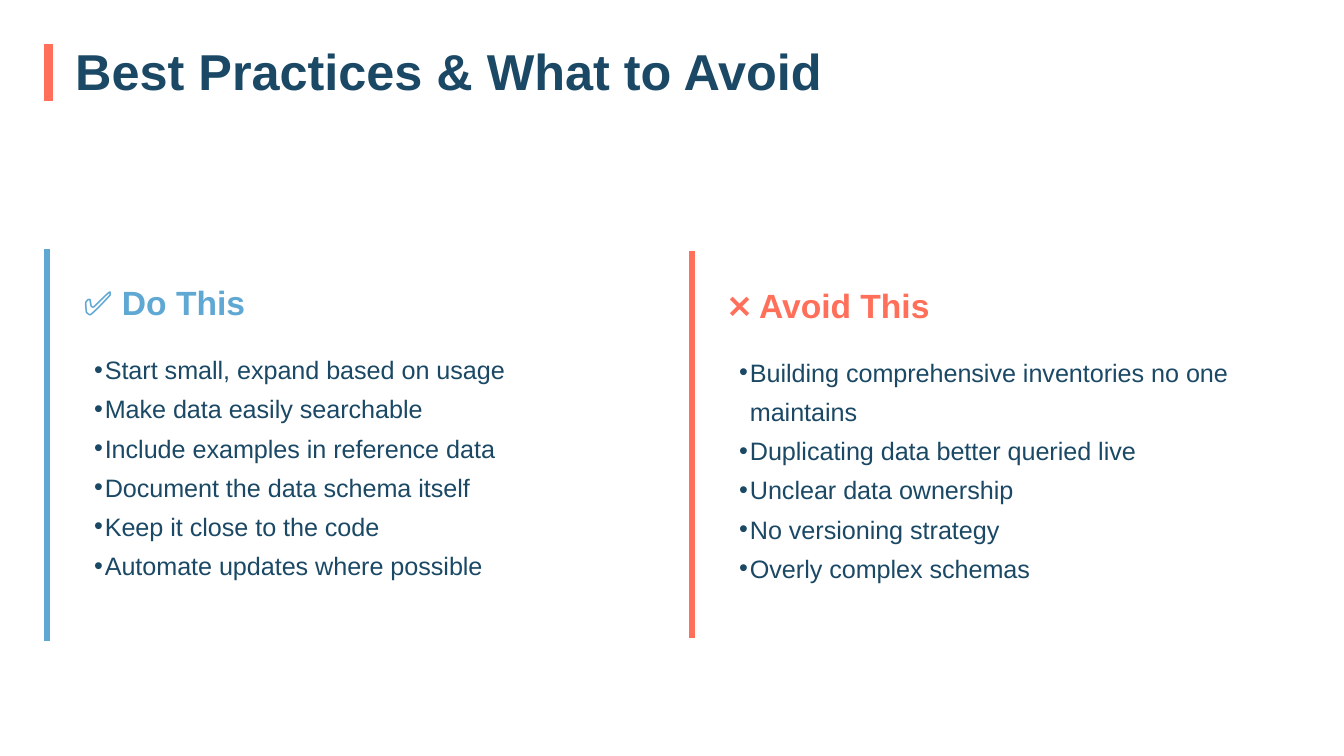
from dataclasses import dataclass

from lxml import etree
from pptx import Presentation
from pptx import util as u
from pptx.dml.color import RGBColor
from pptx.enum import shapes, text
from pptx.oxml.ns import qn

NAVY, CORAL, BLUE = "1B4965", "FF6F59", "5FA8D3"
COMPARISON_LAYOUT = 4
HANGING = u.Inches(0.08)


@dataclass
class Column:
    heading: str
    items: list[str]
    color: str
    left: float
    top: float
    height: float
    heading_index: int

    @property
    def list_index(self) -> int:
        return self.heading_index + 1


@dataclass
class TextStyle:
    size: float
    color: str
    spacing: float
    bold: bool = False
    bulleted: bool = False


COLUMNS = [
    Column("✅ Do This", [
        "Start small, expand based on usage",
        "Make data easily searchable",
        "Include examples in reference data",
        "Document the data schema itself",
        "Keep it close to the code",
        "Automate updates where possible",
    ], BLUE, 0.35, 1.85, 2.92, 1),
    Column("❌ Avoid This", [
        "Building comprehensive inventories no one maintains",
        "Duplicating data better queried live",
        "Unclear data ownership",
        "No versioning strategy",
        "Overly complex schemas",
    ], CORAL, 5.15, 1.87, 2.88, 3),
]


def rgb(color: str) -> RGBColor:
    return RGBColor.from_string(color)


def add_bar(slide, x: float, top: float, bottom: float, color: str, width: float) -> None:
    bar = slide.shapes.add_connector(
        shapes.MSO_CONNECTOR.STRAIGHT,
        u.Inches(x), u.Inches(top), u.Inches(x), u.Inches(bottom))
    bar.line.color.rgb = rgb(color)
    bar.line.width = u.Pt(width)
    etree.SubElement(bar.element.spPr, qn("a:effectLst"))


def fill_box(box, area: tuple[float, float, float, float],
             lines: list[str], style: TextStyle) -> None:
    """Move a placeholder to left, top, width, height and write its paragraphs."""
    box.left, box.top, box.width, box.height = map(u.Inches, area)
    frame = box.text_frame
    frame.text = "\n".join(lines)
    frame.word_wrap = True
    frame.auto_size = text.MSO_AUTO_SIZE.NONE
    frame.vertical_anchor = text.MSO_ANCHOR.TOP
    frame.margin_left = HANGING if style.bulleted else 0
    frame.margin_top = frame.margin_right = frame.margin_bottom = 0
    for para in frame.paragraphs:
        para.alignment = text.PP_ALIGN.LEFT
        para.line_spacing = u.Pt(style.spacing)
        para.space_before = u.Pt(0)
        if style.bulleted:
            properties = para._p.get_or_add_pPr()
            properties.set("marL", str(HANGING))
            properties.set("indent", str(-HANGING))
            etree.SubElement(properties, qn("a:buChar"), char="•")
        para.font.name = "Arial"
        para.font.size = u.Pt(style.size)
        para.font.bold = style.bold
        para.font.color.rgb = rgb(style.color)


def add_column(slide, column: Column) -> None:
    add_bar(slide, column.left, column.top, column.top + column.height, column.color, 3)
    text_left = column.left + 0.27
    fill_box(slide.placeholders[column.heading_index],
             (text_left, column.top + 0.25, 4.08, 0.3),
             [column.heading], TextStyle(18, column.color, 21.6, bold=True))
    fill_box(slide.placeholders[column.list_index],
             (text_left, column.top + 0.72, 4, column.height - 0.96),
             column.items, TextStyle(13.5, NAVY, 21, bulleted=True))


def main() -> None:
    deck = Presentation()
    deck.slide_width = u.Inches(10)
    deck.slide_height = deck.slide_width * 9 // 16
    slide = deck.slides.add_slide(deck.slide_layouts[COMPARISON_LAYOUT])
    add_bar(slide, 0.36, 0.33, 0.75, CORAL, 4.5)
    fill_box(slide.shapes.title, (0.56, 0.33, 5.67, 0.42),
             ["Best Practices & What to Avoid"], TextStyle(27, NAVY, 30, bold=True))
    for column in COLUMNS:
        add_column(slide, column)
    deck.save("out.pptx")


if __name__ == "__main__":
    main()
